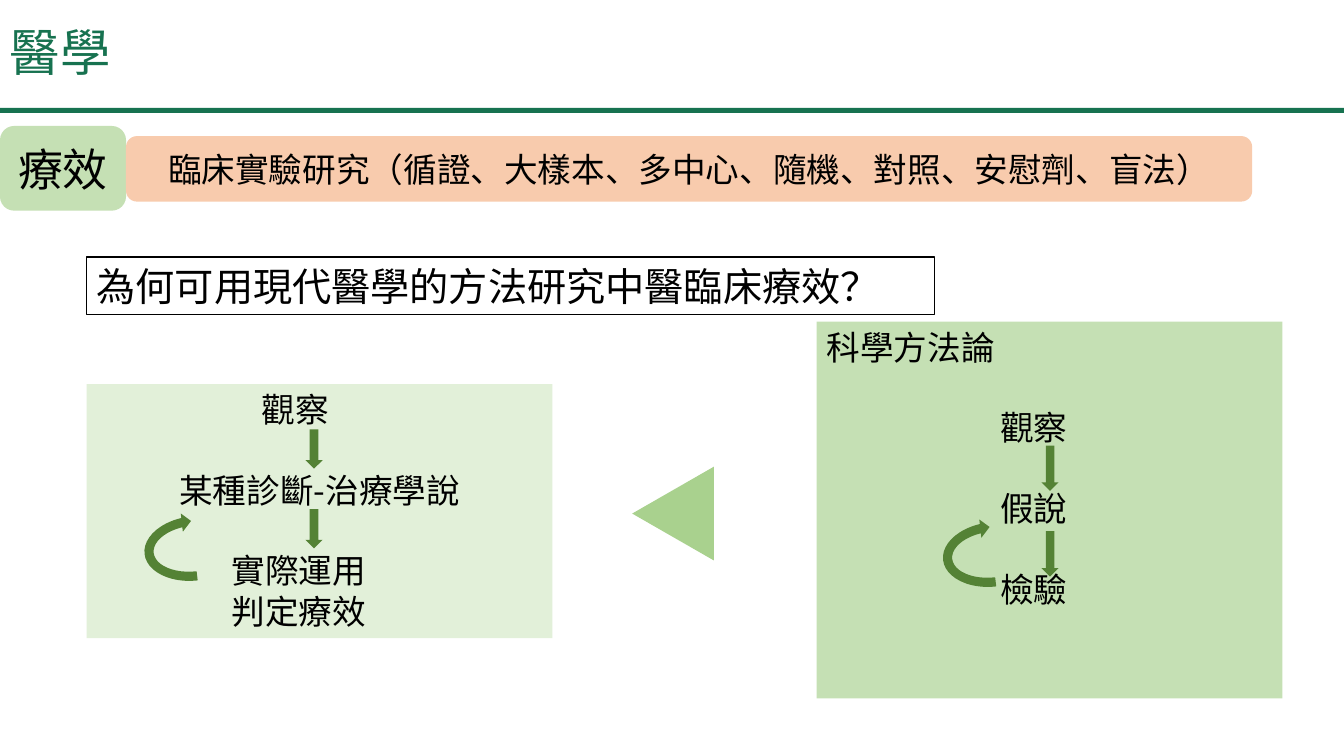
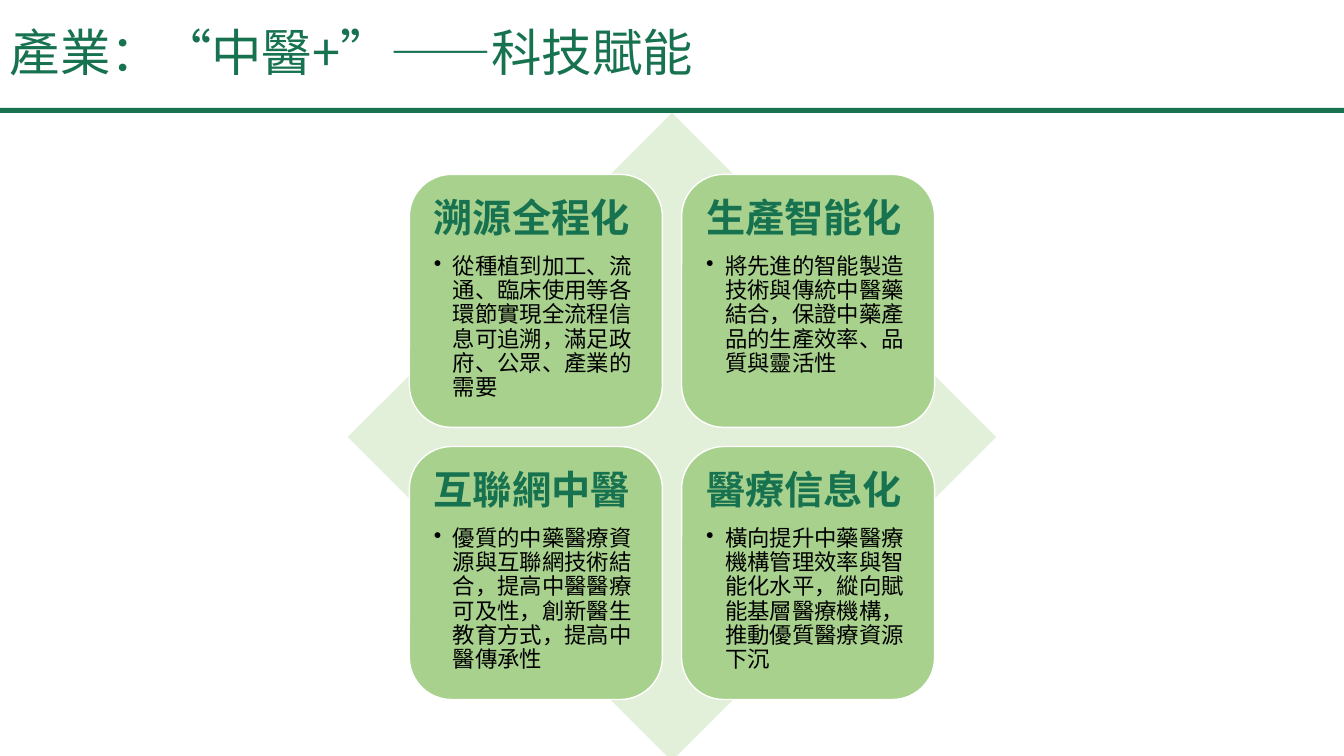
"""Build two slides on medical research method and technology in Chinese medicine."""
from lxml.etree import SubElement
from pptx import Presentation
from pptx.dml.color import RGBColor
from pptx.enum.shapes import MSO_SHAPE
from pptx.enum.text import MSO_ANCHOR, PP_ALIGN
from pptx.oxml.ns import qn
from pptx.util import Inches, Pt

FONT = "Noto Sans CJK SC"
BRAND = RGBColor(0x17, 0x72, 0x50)
BLACK = RGBColor(0x00, 0x00, 0x00)
WHITE = RGBColor(0xFF, 0xFF, 0xFF)
PALE = RGBColor(0xE2, 0xF0, 0xD9)
SOFT = RGBColor(0xC5, 0xE0, 0xB4)
LEAF = RGBColor(0xA9, 0xD1, 0x8E)
DEEP = RGBColor(0x54, 0x82, 0x35)
PEACH = RGBColor(0xF8, 0xCB, 0xAD)


def add_block(slide, kind, box, fill=None, line=None, width=0.75, anchor=MSO_ANCHOR.TOP):
    shape = slide.shapes.add_shape(kind, *(Inches(value) for value in box))
    shape.shadow.inherit = False
    if fill is None:
        shape.fill.background()
    else:
        shape.fill.solid()
        shape.fill.fore_color.rgb = fill
    if line is None:
        shape.line.fill.background()
    else:
        shape.line.color.rgb = line
        shape.line.width = Pt(width)
    shape.text_frame.word_wrap = True
    shape.text_frame.vertical_anchor = anchor
    return shape


def write(frame, text, size, color=BLACK, bold=False, align=PP_ALIGN.LEFT, margin=0, before=0):
    paragraph = frame.paragraphs[0]
    if paragraph.text:
        paragraph = frame.add_paragraph()
    paragraph.text = text
    paragraph.alignment = align
    paragraph.space_before = Pt(before)
    paragraph.font.size = Pt(size)
    paragraph.font.bold = bold
    paragraph.font.color.rgb = color
    paragraph.font.name = FONT
    properties = paragraph._p.get_or_add_pPr()
    properties.set("marL", str(Inches(margin)))
    SubElement(properties.find(qn("a:defRPr")), qn("a:ea"), typeface=FONT)
    return paragraph


presentation = Presentation()
presentation.slide_width = Inches(13.33)
presentation.slide_height = Inches(7.5)

slides = []
for title in ("醫學", "產業：“中醫+”——科技賦能"):
    slide = presentation.slides.add_slide(presentation.slide_layouts[6])
    add_block(slide, MSO_SHAPE.RECTANGLE, (-0.05, 1.07, 13.39, 0.05), BRAND)
    title_box = slide.shapes.add_textbox(Inches(0), Inches(0.02), Inches(11.5), Inches(1.05))
    title_box.text_frame.word_wrap = True
    title_box.text_frame.vertical_anchor = MSO_ANCHOR.MIDDLE
    write(title_box.text_frame, title, 36, BRAND).line_spacing = 0.9
    slides.append(slide)
method_slide, industry_slide = slides

panels = [
    ((8.1, 3.19, 4.62, 3.74), SOFT,
     [("科學方法論", 0, 0), ("觀察", 1.72, 28.8), ("假說", 1.72, 28.8), ("檢驗", 1.72, 28.8)]),
    ((0.86, 3.81, 4.62, 2.52), PALE,
     [("觀察", 1.64, 0), ("某種診斷-治療學說", 0.82, 28.8),
      ("實際運用", 1.34, 28.8), ("判定療效", 1.34, 0)]),
]
for box, fill, lines in panels:
    panel = add_block(method_slide, MSO_SHAPE.RECTANGLE, box, fill)
    for text, margin, before in lines:
        write(panel.text_frame, text, 24, margin=margin, before=before)

labels = [
    ((0, 1.25, 1.25, 0.84), SOFT, "療效", 32),
    ((1.25, 1.35, 11.17, 0.65), PEACH,
     "臨床實驗研究（循證、大樣本、多中心、隨機、對照、安慰劑、盲法）", 24),
]
for box, fill, text, size in labels:
    label = add_block(method_slide, MSO_SHAPE.ROUNDED_RECTANGLE, box, fill, anchor=MSO_ANCHOR.MIDDLE)
    write(label.text_frame, text, size, align=PP_ALIGN.CENTER)

question = add_block(method_slide, MSO_SHAPE.RECTANGLE, (0.86, 2.55, 8.41, 0.57), line=BLACK)
write(question.text_frame, "為何可用現代醫學的方法研究中醫臨床療效？", 28)

for left, tops, height in ((10.33, (4.42, 5.27), 0.45), (3.03, (4.26, 5.05), 0.39)):
    for top in tops:
        add_block(method_slide, MSO_SHAPE.DOWN_ARROW, (left, top, 0.17, height), DEEP)
for left, top in ((9.48, 4.96), (1.56, 4.9)):
    loop_arrow = add_block(method_slide, MSO_SHAPE.CIRCULAR_ARROW, (left, top, 0.73, 1.08), DEEP)
    loop_arrow.rotation = 263.6
pointer = add_block(method_slide, MSO_SHAPE.ISOSCELES_TRIANGLE, (6.21, 4.69, 0.93, 0.81), LEAF)
pointer.rotation = 270

add_block(industry_slide, MSO_SHAPE.DIAMOND, (3.45, 1.12, 6.43, 6.43), PALE)
cards = [
    ("溯源全程化", "從種植到加工、流通、臨床使用等各環節實現全流程信息可追溯，滿足政府、公眾、產業的需要"),
    ("生產智能化", "將先進的智能製造技術與傳統中醫藥結合，保證中藥產品的生產效率、品質與靈活性"),
    ("互聯網中醫", "優質的中藥醫療資源與互聯網技術結合，提高中醫醫療可及性，創新醫生教育方式，提高中醫傳承性"),
    ("醫療信息化", "橫向提升中藥醫療機構管理效率與智能化水平，縱向賦能基層醫療機構，推動優質醫療資源下沉"),
]
for index, (heading, detail) in enumerate(cards):
    row, column = divmod(index, 2)
    box = (4.06 + 2.7 * column, 1.73 + 2.7 * row, 2.51, 2.51)
    card = add_block(industry_slide, MSO_SHAPE.ROUNDED_RECTANGLE, box, LEAF, WHITE, 1)
    frame = card.text_frame
    frame.margin_left = frame.margin_right = Inches(0.12)
    frame.margin_top = frame.margin_bottom = Inches(0.12)
    heading_paragraph = write(frame, heading, 28, BRAND, bold=True)
    heading_paragraph.line_spacing = 0.9
    heading_paragraph.space_after = Pt(10)
    detail_paragraph = write(frame, detail, 16, margin=0.19)
    detail_paragraph.line_spacing = 0.9
    properties = detail_paragraph._p.get_or_add_pPr()
    properties.set("indent", str(Inches(-0.19)))
    bullet = SubElement(properties, qn("a:buChar"), char="•")
    properties.find(qn("a:defRPr")).addprevious(bullet)

presentation.save("out.pptx")
